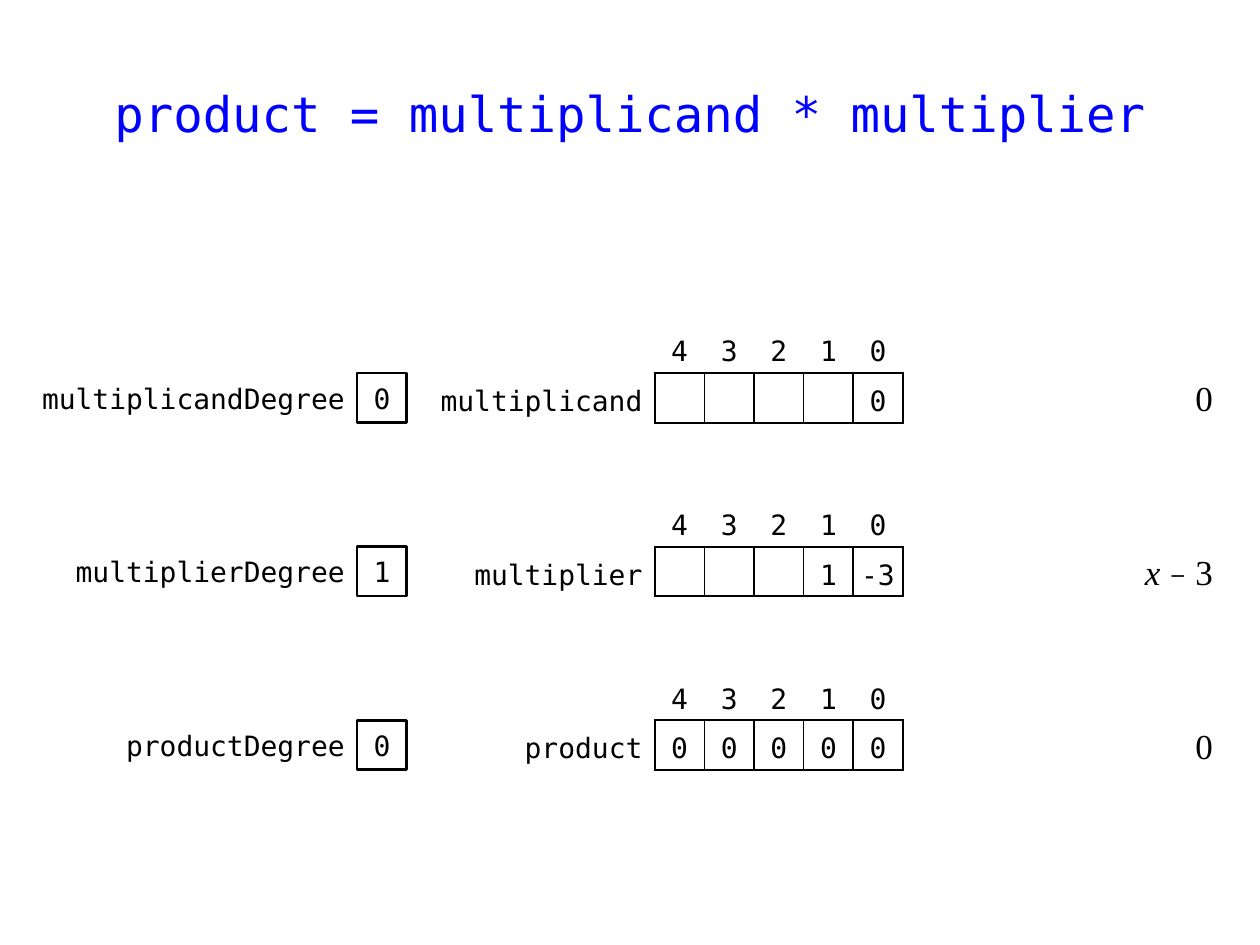
from lxml.etree import SubElement
from pptx import Presentation
from pptx.dml.color import RGBColor
from pptx.enum.shapes import MSO_SHAPE
from pptx.enum.text import MSO_ANCHOR, PP_ALIGN
from pptx.oxml.ns import qn
from pptx.util import Cm, Inches, Pt

COLORS = {"ink": "000000", "title": "0000FF", "paper": "FFFFFF"}
MONO, SERIF, MATH = "DejaVu Sans Mono", "Times New Roman", "Cambria"
UNIT = Cm(1)
TOP, PITCH = 7.52, 3.5
BOX, LAST, EDGE = 7.2, 18.2, 24.7
SLOTS = 5


def grid(*cells):
    """Turn grid units into lengths."""
    return [round(cell * UNIT) for cell in cells]


def color(name):
    """Look up a colour by its role."""
    return RGBColor.from_string(COLORS[name])


def style(font, size, face=MONO, ink="ink"):
    """Set size, face and colour of a font."""
    font.size, font.name = Pt(size), face
    font.color.rgb = color(ink)


def write(frame, parts, size, align, face=MONO, ink="ink", side=0.25):
    """Fill a frame with one paragraph and return it."""
    frame.word_wrap = True
    frame.vertical_anchor = MSO_ANCHOR.MIDDLE
    frame.margin_left = frame.margin_right = round(side * UNIT)
    frame.margin_top = frame.margin_bottom = 0
    para = frame.paragraphs[0]
    para.alignment = align
    for part in parts:
        para.add_run().text = part
    style(para.font, size, face, ink)
    return para


def label(slide, left, top, width, parts, size=16, face=MONO):
    """Add a right-aligned label one unit high."""
    box = slide.shapes.add_textbox(*grid(left, top, width, 1))
    return write(box.text_frame, parts, size, PP_ALIGN.RIGHT, face)


def square(slide, top, text):
    """Add the outlined box that holds a degree."""
    box = slide.shapes.add_shape(MSO_SHAPE.RECTANGLE, *grid(BOX, top, 1, 1))
    box.shadow.inherit = False
    box.fill.solid()
    box.fill.fore_color.rgb = color("paper")
    box.line.color.rgb = color("ink")
    box.line.width = Pt(1.5)
    write(box.text_frame, [text], 16, PP_ALIGN.CENTER, side=0)


def border(cell, edges):
    """Draw the given edges of a cell and hide the others."""
    props = cell._tc.get_or_add_tcPr()
    for side in "LRTB":
        width = edges.get(side, 0)
        line = SubElement(props, qn(f"a:ln{side}"), w=str(Pt(width)))
        if width:
            fill = SubElement(line, qn("a:solidFill"))
            SubElement(fill, qn("a:srgbClr"), val=COLORS["ink"])
        else:
            SubElement(line, qn("a:noFill"))


def edges(row, col):
    """Give the border widths of a cell by its place."""
    if col == 0:
        return {"R": 1.5} if row else {}
    if row == 0:
        return {"B": 1.5}
    return {"L": 1.5 if col == 1 else 1, "R": 1.5 if col == SLOTS else 1,
            "T": 1.5, "B": 1.5}


def array(slide, top, name, wide, values):
    """Add a named array with its indices above the slots."""
    left = LAST - SLOTS - wide
    area = grid(left, top - 1, wide + SLOTS, 2)
    table = slide.shapes.add_table(2, SLOTS + 1, *area).table
    table.first_row = table.horz_banding = False
    for col in range(SLOTS + 1):
        table.columns[col].width = round((1 if col else wide) * UNIT)
    blank = [""] * (SLOTS - len(values))
    lines = [["", *map(str, reversed(range(SLOTS)))], [name, *blank, *values]]
    for row, line in enumerate(lines):
        table.rows[row].height = UNIT
        for col, text in enumerate(line):
            cell = table.cell(row, col)
            border(cell, edges(row, col))
            cell.fill.background()
            cell.vertical_anchor = MSO_ANCHOR.MIDDLE
            cell.margin_top = cell.margin_bottom = 0
            cell.margin_left = round((0 if col else 0.1) * UNIT)
            cell.margin_right = round((0 if col else 0.25) * UNIT)
            para = cell.text_frame.paragraphs[0]
            para.text = text
            para.alignment = PP_ALIGN.CENTER if col else PP_ALIGN.RIGHT
            para.line_spacing = 1.25
            style(para.font, 16)


def formula(slide, top, wide, parts):
    """Add a polynomial at the right edge."""
    para = label(slide, EDGE - wide, top, wide, parts, 20, SERIF)
    if len(parts) > 1:
        name, sign, _ = para.runs
        name.font.italic = True
        sign.font.size, sign.font.name = Pt(18), MATH


def main():
    """Build the slide and save it."""
    deck = Presentation()
    deck.slide_width, deck.slide_height = Inches(10), Inches(7.5)
    slide = deck.slides.add_slide(deck.slide_layouts[6])
    title = slide.shapes.add_textbox(*grid(1.2, 1.02, 23, 2.5))
    write(title.text_frame, ["product = multiplicand * multiplier"], 28,
          PP_ALIGN.CENTER, ink="title")
    rows = [
        ("multiplicand", 7, 4.5, "0", ["0"], 4, ["0"]),
        ("multiplier", 6, 4, "1", ["1", "-3"], 2.5, ["x ", "−", " 3"]),
        ("product", 5, 3, "0", ["0"] * SLOTS, 2.5, ["0"]),
    ]
    for index, (name, room, wide, degree, values, span, parts) in enumerate(rows):
        top = TOP + index * PITCH
        label(slide, BOX - room, top, room, [name + "Degree"])
        square(slide, top, degree)
        array(slide, top, name, wide, values)
        formula(slide, top, span, parts)
    deck.save("out.pptx")


if __name__ == "__main__":
    main()
